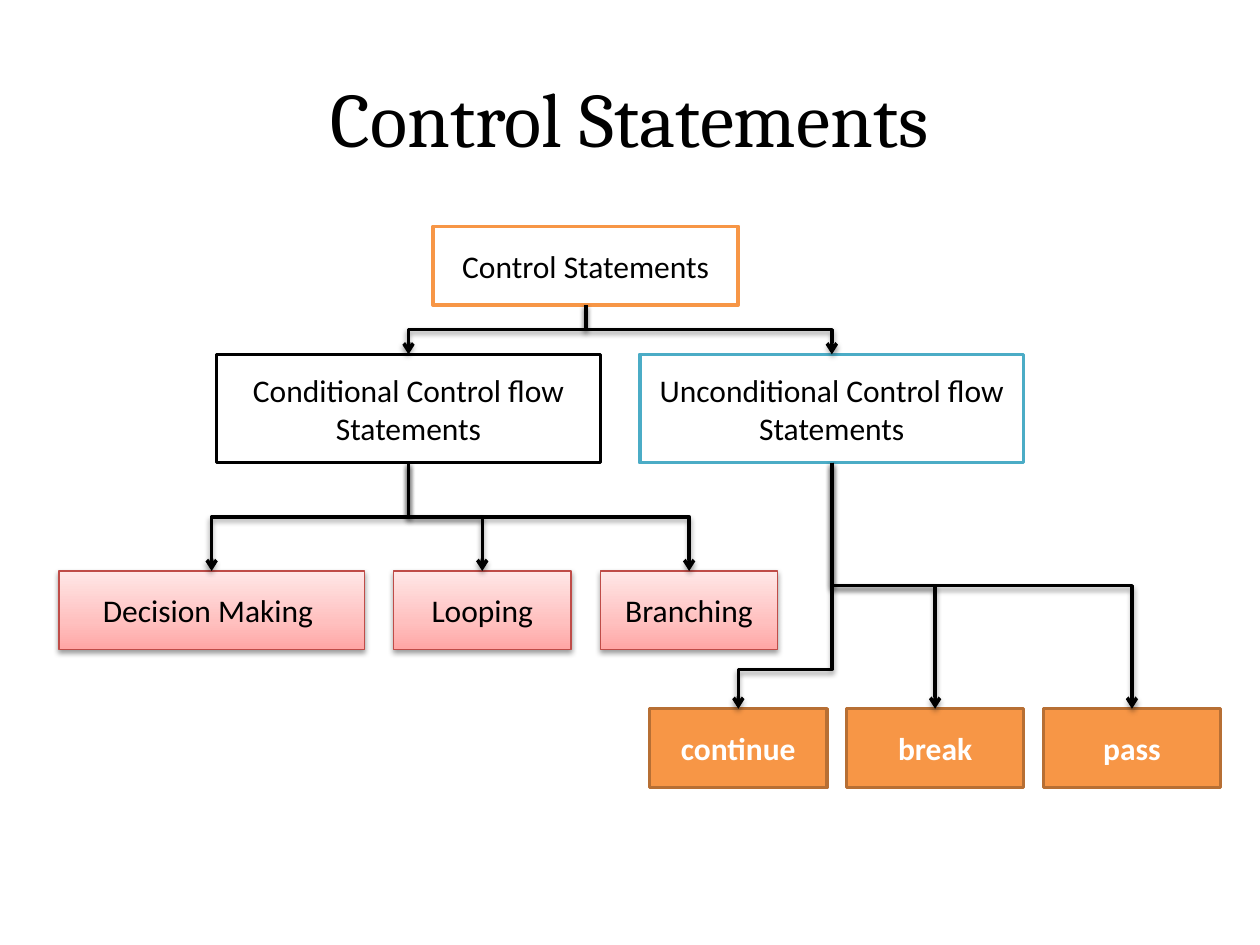
from copy import deepcopy

from lxml import etree
from pptx import Presentation
from pptx.dml.color import RGBColor
from pptx.enum.shapes import MSO_CONNECTOR, MSO_SHAPE
from pptx.enum.text import MSO_ANCHOR, PP_ALIGN
from pptx.oxml.ns import qn
from pptx.util import Inches, Pt

ELBOW, RECTANGLE = MSO_CONNECTOR.ELBOW, MSO_SHAPE.RECTANGLE
MIDDLE, CENTER = MSO_ANCHOR.MIDDLE, PP_ALIGN.CENTER
BOTTOM_SITE, TOP_SITE = 2, 0

COLORS = {name: RGBColor.from_string(value) for name, value in {
    "black": "000000", "white": "FFFFFF", "orange": "F79646",
    "brown": "B76F34", "teal": "4BACC6", "red": "BF4C48",
    "rose": "FFA6A5", "pink": "FFC0BF", "blush": "FFE7E7",
}.items()}
BLUSH_STOPS = [(0, "rose"), (0.35, "pink"), (1, "blush")]

# style: fill (None for the gradient), line, line width, text, bold
STYLES = {
    "root": ("white", "orange", 2, "black", False),
    "conditional": ("white", "black", 2, "black", False),
    "unconditional": ("white", "teal", 2, "black", False),
    "branch": (None, "red", 0.75, "black", False),
    "keyword": ("orange", "brown", 2, "white", True),
}

# key: text, style, column, row, columns wide, rows high
BOXES = {
    "root": ("Control Statements", "root", 22, 11.5, 15.5, 4),
    "conditional": ("Conditional Control flow Statements", "conditional", 11, 18, 19.5, 5.5),
    "unconditional": ("Unconditional Control flow Statements", "unconditional", 32.5, 18, 19.5, 5.5),
    "decision": ("Decision Making ", "branch", 3, 29, 15.5, 4),
    "looping": ("Looping", "branch", 20, 29, 9, 4),
    "branching": ("Branching", "branch", 30.5, 29, 9, 4),
    "continue": ("continue", "keyword", 33, 36, 9, 4),
    "break": ("break", "keyword", 43, 36, 9, 4),
    "pass": ("pass", "keyword", 53, 36, 9, 4),
}

# parent, child, share of the drop at which the arrow bends
ARROWS = [
    ("root", "conditional", 0.5),
    ("root", "unconditional", 0.5),
    ("conditional", "decision", 0.5),
    ("conditional", "looping", 0.5),
    ("conditional", "branching", 0.5),
    ("unconditional", "continue", 0.84),
    ("unconditional", "break", 0.5),
    ("unconditional", "pass", 0.5),
]


def write(frame, text, font_name, size, color, bold=False):
    frame.word_wrap = True
    frame.vertical_anchor = MIDDLE
    paragraph = frame.paragraphs[0]
    paragraph.text = text
    paragraph.alignment = CENTER
    font = paragraph.font
    font.name, font.size, font.bold = font_name, Pt(size), bold
    font.color.rgb = COLORS[color]


def cast_shadow(properties):
    """Add a soft shadow straight below; the line must be set already."""
    effects = etree.SubElement(properties, qn("a:effectLst"))
    shadow = etree.SubElement(effects, qn("a:outerShdw"), blurRad="40000",
                              dist="20000", dir="5400000", rotWithShape="0")
    black = etree.SubElement(shadow, qn("a:srgbClr"), val=str(COLORS["black"]))
    etree.SubElement(black, qn("a:alpha"), val="38000")


prs = Presentation()
prs.slide_width, prs.slide_height = Inches(10), Inches(7.5)
slide = prs.slides.add_slide(prs.slide_layouts[6])
unit = prs.slide_width // 64  # the grid has 64 columns and 48 rows

title = slide.shapes.add_textbox(
    int(prs.slide_width * 0.05), int(prs.slide_height * 0.04),
    int(prs.slide_width * 0.9), prs.slide_height // 6)
write(title.text_frame, "Control Statements", "Cambria", 44, "black")

boxes = {}
for key, (text, style, *place) in BOXES.items():
    fill, line, line_width, text_color, bold = STYLES[style]
    box = slide.shapes.add_shape(RECTANGLE, *(int(n * unit) for n in place))
    box.line.color.rgb = COLORS[line]
    box.line.width = Pt(line_width)
    if fill:
        box.fill.solid()
        box.fill.fore_color.rgb = COLORS[fill]
        box.shadow.inherit = False
    else:
        box.fill.gradient()
        box.fill.gradient_angle = 90
        stop_list = box._element.spPr.find(".//" + qn("a:gsLst"))
        stop_list.insert(1, deepcopy(stop_list[0]))
        for stop, (position, color) in zip(box.fill.gradient_stops, BLUSH_STOPS):
            stop.position = position
            stop.color.rgb = COLORS[color]
        cast_shadow(box._element.spPr)
    write(box.text_frame, text, "Calibri", 18, text_color, bold)
    boxes[key] = box

for parent_key, child_key, bend in ARROWS:
    parent, child = boxes[parent_key], boxes[child_key]
    start_x, start_y = parent.left + parent.width // 2, parent.top + parent.height
    end_x, end_y = child.left + child.width // 2, child.top
    drop, reach = end_y - start_y, abs(end_x - start_x)

    arrow = slide.shapes.add_connector(ELBOW, start_x, start_y, end_x, end_y)
    arrow.begin_connect(parent, BOTTOM_SITE)
    arrow.end_connect(child, TOP_SITE)

    # An elbow leaves sideways, so it is turned a quarter to leave downwards.
    arrow.left = (start_x + end_x - drop) // 2
    arrow.top = (start_y + end_y - reach) // 2
    arrow.width, arrow.height = drop, reach
    properties = arrow._element.spPr
    frame = properties.find(qn("a:xfrm"))
    rightward = end_x > start_x
    frame.set("rot", "16200000" if rightward else "5400000")
    frame.set("flipH", "1" if rightward else "0")
    frame.set("flipV", "0")
    etree.SubElement(properties.find(".//" + qn("a:avLst")), qn("a:gd"),
                     name="adj1", fmla=f"val {round(bend * 100000)}")

    arrow.line.color.rgb = COLORS["black"]
    arrow.line.width = Pt(2)
    etree.SubElement(properties.find(qn("a:ln")), qn("a:tailEnd"), type="arrow")
    cast_shadow(properties)

prs.save("out.pptx")
